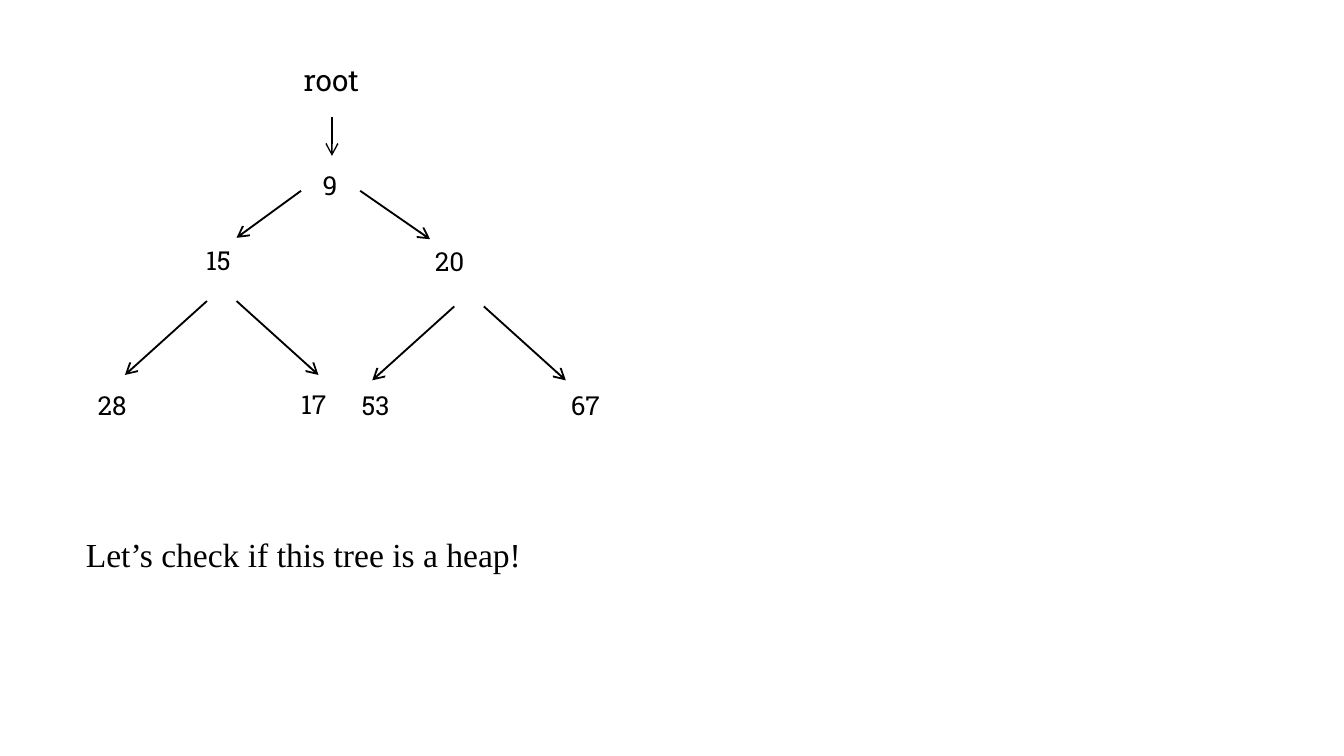
import pptx
import pptx.dml.color
import pptx.enum.shapes
import pptx.enum.text
import pptx.oxml
import pptx.oxml.ns
import pptx.util
from pptx.util import Inches

ALIGN = pptx.enum.text.PP_ALIGN
SPACE = pptx.oxml.ns.nsdecls("a")

deck = pptx.Presentation()
deck.slide_width = Inches(10)
deck.slide_height = Inches(10) * 9 // 16
slide = deck.slides.add_slide(deck.slide_layouts[6])

ink = pptx.dml.color.RGBColor.from_string("000000")


def write(text, left, top, width, height, size=14, font="Roboto Slab",
          align=ALIGN.CENTER, side=0, wrap=True):
    box = slide.shapes.add_textbox(
        Inches(left), Inches(top), Inches(width), Inches(height))
    frame = box.text_frame
    frame.word_wrap = wrap
    frame.margin_left = frame.margin_right = Inches(side)
    para = frame.paragraphs[0]
    para.text = text
    para.alignment = align
    para.font.size = pptx.util.Pt(size)
    para.font.name = font
    para.font.color.rgb = ink
    return frame


def arrow(x1, y1, x2, y2, width=1):
    edge = slide.shapes.add_connector(
        pptx.enum.shapes.MSO_CONNECTOR.STRAIGHT,
        Inches(x1), Inches(y1), Inches(x2), Inches(y2))
    edge.line.color.rgb = ink
    edge.line.width = pptx.util.Pt(width)
    edge.get_or_add_ln().append(
        pptx.oxml.parse_xml(f'<a:tailEnd {SPACE} type="arrow"/>'))
    edge.element.spPr.append(pptx.oxml.parse_xml(f"<a:effectLst {SPACE}/>"))


# Root label and its pointer
write("root", 2.16, 0.41, 0.85, 0.57, size=16, align=ALIGN.LEFT, side=0.1)
arrow(2.47, 0.87, 2.47, 1.16, width=0.75)

# Tree nodes: value, left, top
nodes = [
    ("9", 2.28, 1.21),
    ("15", 1.45, 1.77), ("20", 3.17, 1.78),
    ("28", 0.66, 2.85), ("17", 2.16, 2.84),
    ("53", 2.62, 2.85), ("67", 4.18, 2.85),
]
for value, left, top in nodes:
    write(value, left, top, 0.35, 0.43)

# Edges from the root
arrow(2.24, 1.42, 1.76, 1.77)
arrow(2.68, 1.42, 3.2, 1.78)

# Edges to the leaves, mirrored about each parent's middle
for mid, top in [(1.65, 2.24), (3.49, 2.28)]:
    for sign in (-1, 1):
        arrow(mid + sign * 0.11, top, mid + sign * 0.72, top + 0.55)

# Question below the tree
note = write("Let’s check if this tree is a heap!", 0.54, 3.92, 3.48, 0.4,
             size=18, font="Times New Roman", align=ALIGN.LEFT, side=0.1,
             wrap=False)
note.auto_size = pptx.enum.text.MSO_AUTO_SIZE.SHAPE_TO_FIT_TEXT

deck.save("out.pptx")
